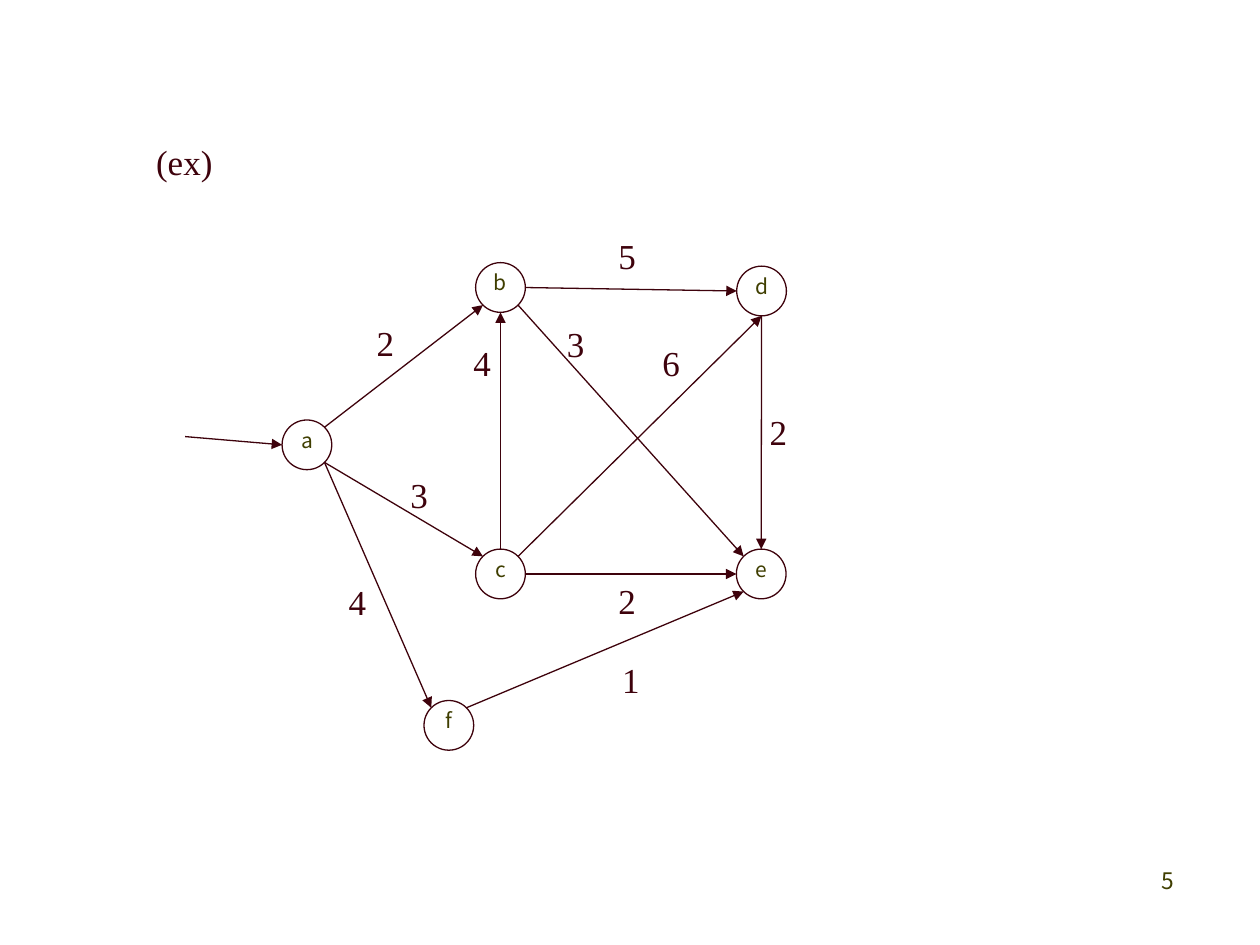
import math

import pptx
import pptx.util
import pptx.dml.color
import pptx.enum.shapes
import pptx.enum.text
import pptx.oxml
import pptx.oxml.ns

Pt = pptx.util.Pt
ALIGN = pptx.enum.text.PP_ALIGN

# Content: vertex centres; edges with compass sides, weight and weight position
VERTICES = {
    "a": (175.4, 254.2),
    "b": (286, 164.3),
    "c": (286, 328),
    "d": (435.2, 166.3),
    "e": (435, 328),
    "f": (256.5, 414.5),
}
EDGES = [
    ("a", "NE", "b", "SW", "2", (208.1, 180)),
    ("a", "SE", "c", "NW", "3", (227.5, 267.1)),
    ("c", "N", "b", "S", "4", (263.5, 191.5)),
    ("b", "E", "d", "W", "5", (346.3, 130.3)),
    ("d", "S", "e", "N", "2", (432.7, 231.1)),
    ("c", "E", "e", "W", "2", (346.3, 327.6)),
    ("b", "SE", "e", "NW", "3", (316.8, 180.7)),
    ("a", "SE", "f", "NW", "4", (192.2, 328.3)),
    ("f", "NE", "e", "SW", "1", (348.5, 373)),
    ("c", "NE", "d", "S", "6", (371.5, 191.5)),
]
START = (105.8, 249.5)
EXAMPLE = ("(ex)", (82.1, 77))
PAGE_NUMBER = ("5", (527.8, 491.8))

THEME = {
    "ink": pptx.dml.color.RGBColor.from_string("3E020C"),
    "olive": pptx.dml.color.RGBColor.from_string("3F3E00"),
    "sans": "Noto Sans CJK KR",
    "serif": "Times New Roman",
    "vertex_size": 12,
    "weight_size": 20,
    "page_size": 13,
    "line": 0.75,
}
RADIUS = 14.2
COMPASS = {"E": 0, "SE": 45, "S": 90, "SW": 135, "W": 180, "NW": 225, "N": 270, "NE": 315}


def write(frame, words, font, size, color, align):
    paragraph = frame.paragraphs[0]
    paragraph.alignment = align
    run = paragraph.add_run()
    run.text = words
    run.font.name = font
    run.font.size = Pt(size)
    run.font.color.rgb = color


def rim(vertex, side):
    x, y = VERTICES[vertex]
    angle = math.radians(COMPASS[side])
    return x + RADIUS * math.cos(angle), y + RADIUS * math.sin(angle)


def add_vertex(slide, name, center):
    x, y = center
    circle = slide.shapes.add_shape(
        pptx.enum.shapes.MSO_SHAPE.OVAL,
        Pt(x - RADIUS), Pt(y - RADIUS), Pt(2 * RADIUS), Pt(2 * RADIUS))
    circle.shadow.inherit = False
    circle.fill.background()
    circle.line.color.rgb = THEME["ink"]
    circle.line.width = Pt(THEME["line"])
    frame = circle.text_frame
    frame.margin_left = frame.margin_right = frame.margin_top = frame.margin_bottom = 0
    frame.vertical_anchor = pptx.enum.text.MSO_ANCHOR.TOP
    write(frame, name, THEME["sans"], THEME["vertex_size"], THEME["olive"], ALIGN.CENTER)


def add_arrow(slide, start, end):
    arrow = slide.shapes.add_connector(
        pptx.enum.shapes.MSO_CONNECTOR.STRAIGHT, *(Pt(v) for v in (*start, *end)))
    arrow.line.color.rgb = THEME["ink"]
    arrow.line.width = Pt(THEME["line"])
    ns = pptx.oxml.ns.nsdecls("a")
    arrow.line._get_or_add_ln().append(
        pptx.oxml.parse_xml(f'<a:tailEnd {ns} type="triangle"/>'))
    arrow._element.spPr.append(pptx.oxml.parse_xml(f"<a:effectLst {ns}/>"))


def add_label(slide, words, corner, width=24.5):
    x, y = corner
    frame = slide.shapes.add_textbox(Pt(x), Pt(y), Pt(width), Pt(31.5)).text_frame
    frame.word_wrap = False
    frame.auto_size = pptx.enum.text.MSO_AUTO_SIZE.SHAPE_TO_FIT_TEXT
    write(frame, words, THEME["serif"], THEME["weight_size"], THEME["ink"], ALIGN.LEFT)


def main():
    deck = pptx.Presentation()
    deck.slide_width, deck.slide_height = Pt(720), Pt(540)
    slide = deck.slides.add_slide(deck.slide_layouts[6])

    # Graph
    for name, center in VERTICES.items():
        add_vertex(slide, name, center)
    add_arrow(slide, START, rim("a", "W"))
    for source, exit_side, target, entry_side, weight, corner in EDGES:
        add_arrow(slide, rim(source, exit_side), rim(target, entry_side))
        add_label(slide, weight, corner)

    # Example mark and page number
    add_label(slide, *EXAMPLE, width=46.8)
    number, (x, y) = PAGE_NUMBER
    frame = slide.shapes.add_textbox(Pt(x), Pt(y), Pt(150), Pt(36)).text_frame
    frame.word_wrap = True
    write(frame, number, THEME["sans"], THEME["page_size"], THEME["olive"], ALIGN.RIGHT)

    deck.save("out.pptx")


if __name__ == "__main__":
    main()
